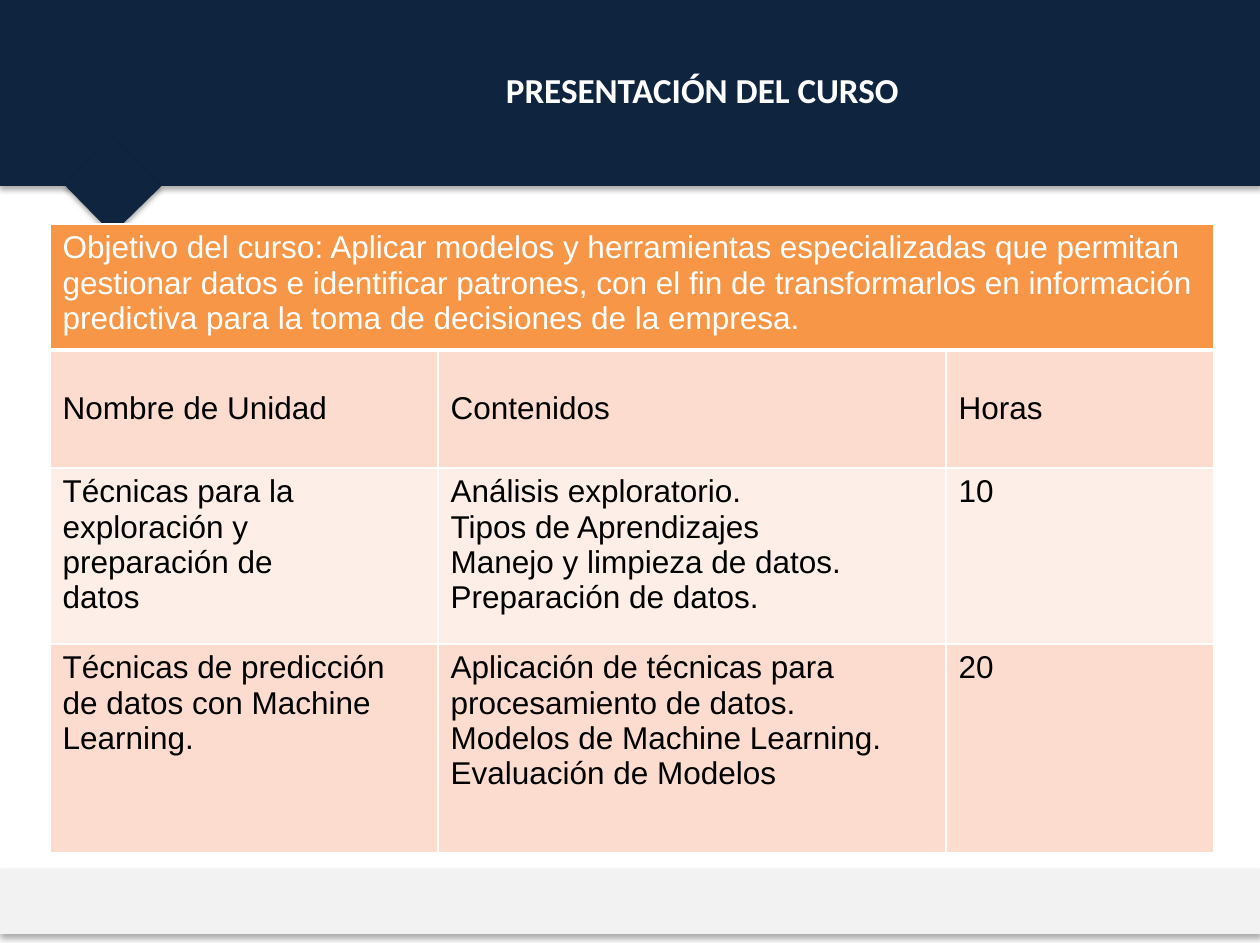
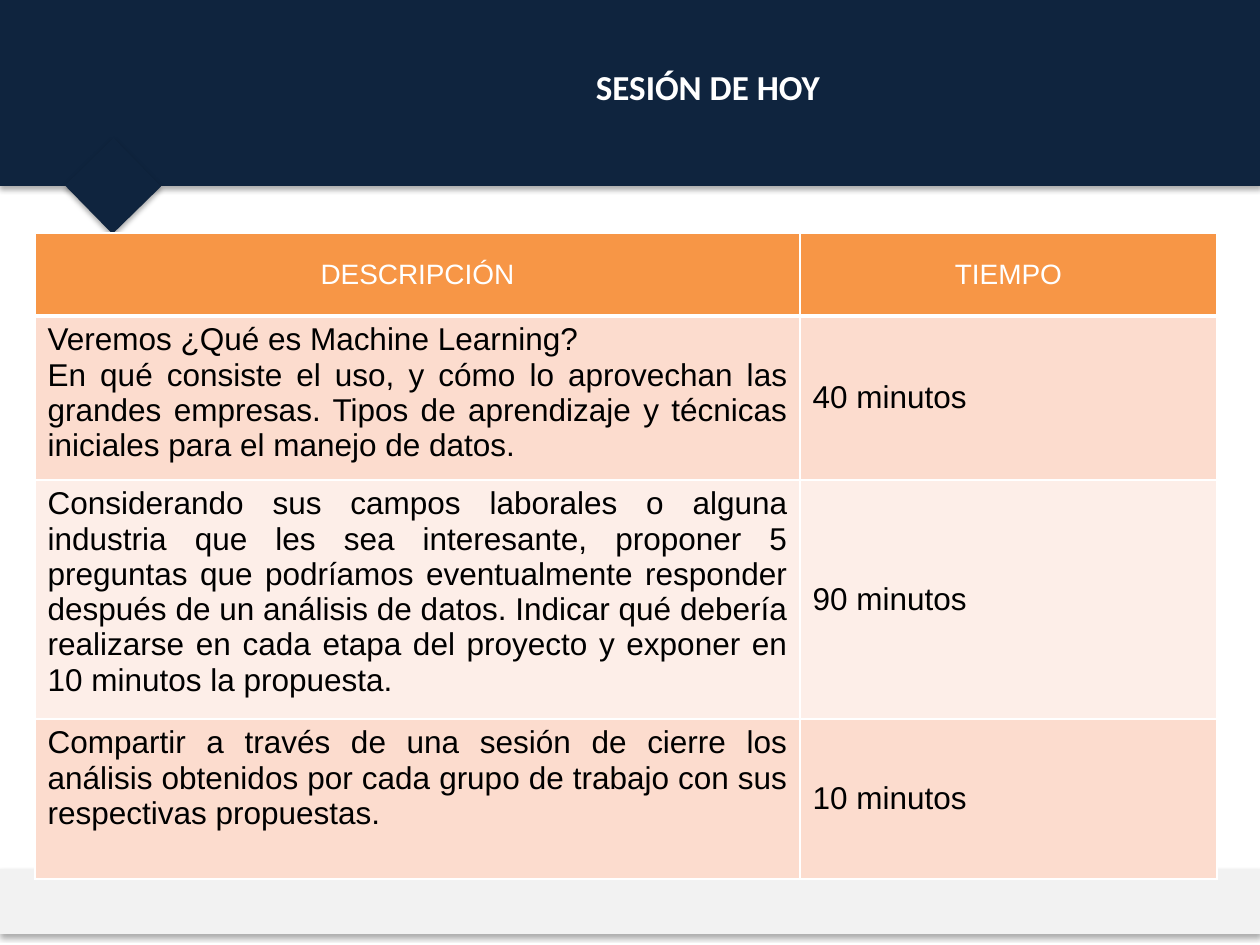
from lxml.etree import SubElement
from pptx import Presentation
from pptx.dml.color import RGBColor
from pptx.enum.shapes import MSO_SHAPE
from pptx.enum.text import MSO_ANCHOR, MSO_AUTO_SIZE, PP_ALIGN
from pptx.oxml import parse_xml
from pptx.oxml.ns import nsdecls, qn
from pptx.util import Emu, Pt

NAVY = RGBColor(0x0F, 0x24, 0x3E)
GREY = RGBColor(0xF2, 0xF2, 0xF2)
ORANGE = RGBColor(0xF7, 0x96, 0x46)
PEACH = RGBColor(0xFC, 0xDC, 0xCE)
CREAM = RGBColor(0xFD, 0xEE, 0xE8)
WHITE = RGBColor(0xFF, 0xFF, 0xFF)
BLACK = RGBColor(0x00, 0x00, 0x00)

PX_PER_INCH = 126
SLIDE_WIDTH, SLIDE_HEIGHT = 1260, 945

COURSE_ROWS = [
    [["Objetivo del curso: Aplicar modelos y herramientas especializadas que permitan "
      "gestionar datos e identificar patrones, con el fin de transformarlos en "
      "información predictiva para la toma de decisiones de la empresa."]],
    [["Nombre de Unidad"], ["Contenidos"], ["Horas"]],
    [["Técnicas para la", "exploración y", "preparación de", "datos"],
     ["Análisis exploratorio.", "Tipos de Aprendizajes",
      "Manejo y limpieza de datos.", "Preparación de datos."],
     ["10"]],
    [["Técnicas de predicción de datos con Machine", "Learning."],
     ["Aplicación de técnicas para procesamiento de datos.",
      "Modelos de Machine Learning.", "Evaluación de Modelos"],
     ["20"]],
]

SESSION_ROWS = [
    [["DESCRIPCIÓN"], ["TIEMPO"]],
    [["Veremos ¿Qué es Machine Learning?",
      "En qué consiste el uso, y cómo lo aprovechan las grandes empresas. "
      "Tipos de aprendizaje y técnicas iniciales para el manejo de datos."],
     ["40 minutos"]],
    [["Considerando sus campos laborales o alguna industria que les sea interesante, "
      "proponer 5 preguntas que podríamos eventualmente responder después de un "
      "análisis de datos. Indicar qué debería realizarse en cada etapa del proyecto "
      "y exponer en 10 minutos la propuesta."],
     ["90 minutos"]],
    [["Compartir a través de una sesión de cierre los análisis obtenidos por cada "
      "grupo de trabajo con sus respectivas propuestas."],
     ["10 minutos"]],
]


def px(length):
    return Emu(round(length * 914400 / PX_PER_INCH))


def write(frame, lines, font_name, size, color, align, bold=False):
    for index, line in enumerate(lines):
        para = frame.paragraphs[0] if index == 0 else frame.add_paragraph()
        para.alignment = align
        span = para.add_run()
        span.text = line
        span.font.name = font_name
        span.font.size = Pt(size)
        span.font.bold = bold
        span.font.color.rgb = color


def add_shadow(shape):
    shape.shadow.inherit = False
    effects = shape.element.spPr.find(qn("a:effectLst"))
    effects.append(parse_xml(
        f'<a:outerShdw {nsdecls("a")} blurRad="{Pt(3.1)}" dist="{Pt(1.8)}" '
        'dir="5400000" algn="t" rotWithShape="0">'
        '<a:srgbClr val="000000"><a:alpha val="33000"/></a:srgbClr></a:outerShdw>'))


def add_band(page, left, top, width, height, color, rotation=0):
    band = page.shapes.add_shape(
        MSO_SHAPE.RECTANGLE, px(left), px(top), px(width), px(height))
    band.rotation = rotation
    band.fill.solid()
    band.fill.fore_color.rgb = color
    band.line.fill.background()
    add_shadow(band)
    return band


def share_bands(page):
    bands = [
        add_band(page, 0, 0, SLIDE_WIDTH, 186, NAVY),
        add_band(page, 0, 869, SLIDE_WIDTH, 65, GREY),
        add_band(page, 79, 152, 68, 68, NAVY, 45.6),
    ]
    layout_tree = page.slide_layout.element.cSld.spTree
    for position, band in enumerate(bands, start=2):
        layout_tree.insert(position, band.element)


def set_title(page, text, left, top, width):
    title = page.shapes.title
    title.left, title.top, title.width, title.height = map(px, (left, top, width, 55))
    frame = title.text_frame
    frame.word_wrap = True
    frame.auto_size = MSO_AUTO_SIZE.NONE
    frame.vertical_anchor = MSO_ANCHOR.MIDDLE
    write(frame, [text], "Calibri", 20, WHITE, PP_ALIGN.CENTER, bold=True)


def set_borders(cell, row_index):
    properties = cell._tc.get_or_add_tcPr()
    widths = {
        "a:lnL": 1,
        "a:lnR": 1,
        "a:lnT": 3 if row_index == 1 else 1,
        "a:lnB": 3 if row_index == 0 else 1,
    }
    for side, width in widths.items():
        line = SubElement(properties, qn(side), w=str(Pt(width)))
        fill = SubElement(line, qn("a:solidFill"))
        SubElement(fill, qn("a:srgbClr"), val=str(WHITE))


def add_grid(page, left, top, widths, heights):
    frame = page.shapes.add_table(
        len(heights), len(widths), px(left), px(top), px(sum(widths)), px(sum(heights)))
    table = frame.table
    table.first_row = table.horz_banding = False
    for column, width in zip(table.columns, widths):
        column.width = px(width)
    for row_index, (row, height) in enumerate(zip(table.rows, heights)):
        row.height = px(height)
        for cell in row.cells:
            set_borders(cell, row_index)
            cell.fill.solid()
            cell.fill.fore_color.rgb = (
                ORANGE if row_index == 0 else PEACH if row_index % 2 else CREAM)
    return table


def fill_cell(cell, lines, color=BLACK, size=18, align=PP_ALIGN.LEFT,
              anchor=MSO_ANCHOR.TOP):
    cell.vertical_anchor = anchor
    write(cell.text_frame, lines, "Arial", size, color, align)


def add_course_table(page):
    table = add_grid(page, 50, 224, [388, 508, 268], [126, 118, 176, 209])
    table.cell(0, 0).merge(table.cell(0, 2))
    for row_index, row in enumerate(COURSE_ROWS):
        for column_index, lines in enumerate(row):
            fill_cell(table.cell(row_index, column_index), lines,
                      color=BLACK if row_index else WHITE,
                      anchor=MSO_ANCHOR.MIDDLE if row_index == 1 else MSO_ANCHOR.TOP)


def add_session_table(page):
    table = add_grid(page, 35, 233, [765, 417], [83, 164, 239, 160])
    for column_index, heading in enumerate(SESSION_ROWS[0]):
        fill_cell(table.cell(0, column_index), heading, WHITE, 16,
                  PP_ALIGN.CENTER, MSO_ANCHOR.MIDDLE)
    for row_index, (description, time) in enumerate(SESSION_ROWS[1:], start=1):
        fill_cell(table.cell(row_index, 0), description, align=PP_ALIGN.JUSTIFY)
        fill_cell(table.cell(row_index, 1), time, anchor=MSO_ANCHOR.MIDDLE)


def main():
    deck = Presentation()
    deck.slide_width, deck.slide_height = px(SLIDE_WIDTH), px(SLIDE_HEIGHT)
    title_only = deck.slide_layouts[5]

    course = deck.slides.add_slide(title_only)
    share_bands(course)
    set_title(course, "PRESENTACIÓN DEL CURSO", 393, 62, 619)
    add_course_table(course)

    session = deck.slides.add_slide(title_only)
    set_title(session, "SESIÓN DE HOY", 258, 59, 900)
    add_session_table(session)

    deck.save("out.pptx")


if __name__ == "__main__":
    main()
